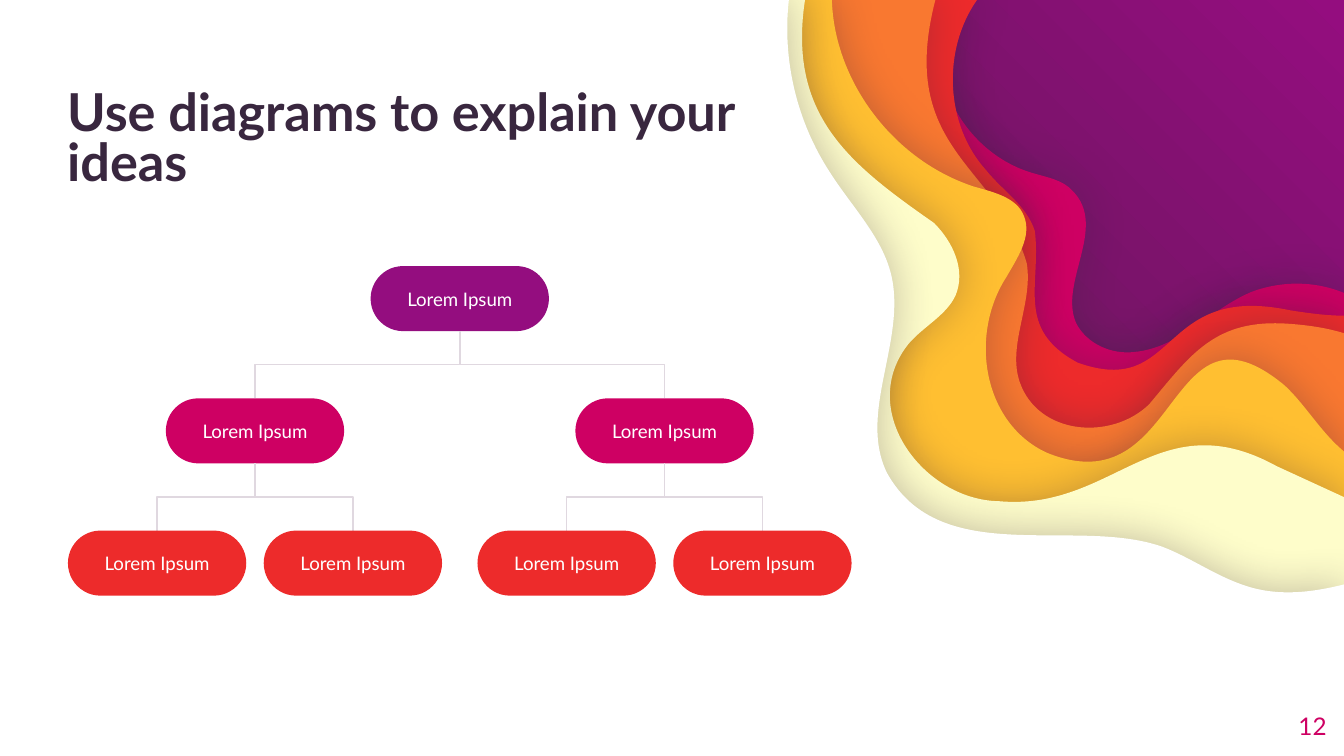
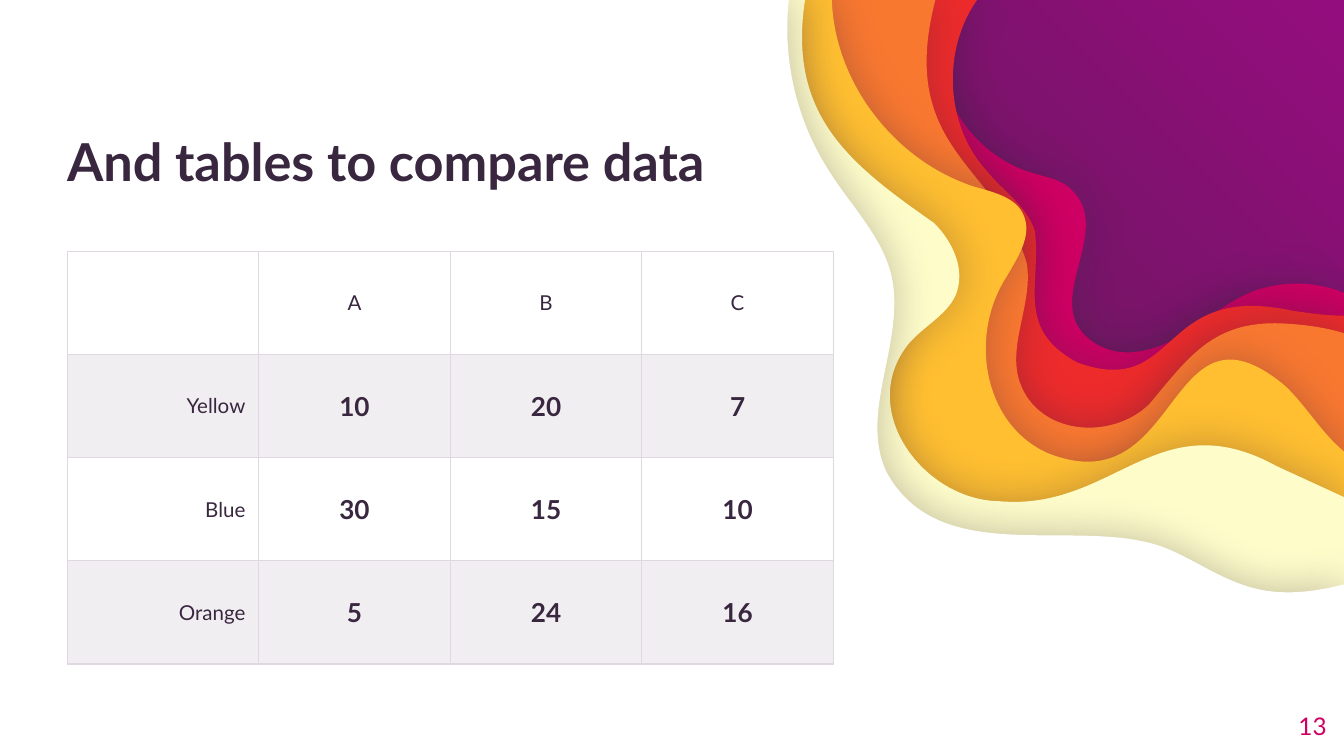
import copy

import lxml.etree
import pptx
import pptx.dml.color
import pptx.enum.dml
import pptx.enum.shapes
import pptx.enum.text
import pptx.oxml.ns
import pptx.util

Cm = pptx.util.Cm
Pt = pptx.util.Pt
qn = pptx.oxml.ns.qn
Align = pptx.enum.text.PP_ALIGN
Anchor = pptx.enum.text.MSO_ANCHOR

FONT = "Lato"
INK, WHITE = "39273F", "FFFFFF"
PURPLE, DEEP_PURPLE = "940D7F", "5E1B53"
PINK, RED = "CE0063", "ED2B2B"
RULE, BAND = "E0D8E0", "F1EEF1"

SLIDE_WIDTH, SLIDE_HEIGHT = 25.4, 14.29
MARGIN = 1.27
BOX_INSET = 0.25

# Waves use thousandths of the slide width: colour, points of the inner curve
# (a start, then two handles and an end per curve), height where the wave
# meets the right edge, and the handles that lead back to the start.
WAVE_GRID = 1000
WAVE_BOTTOM = 563
WAVES = [
    (PINK,
     [(932, 217), (902, 229), (878, 259), (844, 262),
      (827, 264), (809, 256), (801, 241), (787, 211), (825, 169), (798, 142),
      (791, 134), (779, 132), (769, 129), (716, 114), (684, 52), (704, 0)],
     218, [(978, 209), (954, 209)]),
    (RED,
     [(960, 231), (861, 210), (878, 297), (802, 270),
      (755, 245), (775, 212), (770, 172), (764, 153), (746, 142), (734, 127),
      (703, 93), (701, 37), (727, 0)],
     235, [(987, 235), (973, 233)]),
    ("F97830",
     [(959, 241), (904, 237), (886, 264), (855, 301),
      (827, 328), (773, 324), (759, 285), (749, 257), (769, 226), (764, 196),
      (743, 123), (667, 112), (696, 0)],
     248, [(987, 244), (973, 242)]),
    ("FFBF31",
     [(956, 287), (867, 213), (880, 378), (779, 337),
      (731, 315), (721, 249), (749, 206), (757, 192), (768, 176), (762, 161),
      (757, 147), (739, 143), (725, 139), (666, 120), (621, 62), (619, 0)],
     336, [(983, 322), (972, 302)]),
    ("FEFDCA",
     [(950, 347), (861, 298), (829, 381), (743, 373),
      (687, 372), (637, 305), (676, 256), (687, 243), (704, 235), (711, 220),
      (719, 201), (709, 180), (695, 166), (632, 122), (586, 86), (599, 0)],
     370, []),
    (WHITE,
     [(927, 436), (905, 429), (886, 415), (865, 407),
      (800, 384), (700, 424), (660, 352), (638, 307), (675, 253), (663, 204),
      (656, 176), (634, 154), (618, 129), (593, 91), (582, 45), (587, 0)],
     435, [(976, 441), (951, 444)]),
]

NODE_WIDTH, NODE_HEIGHT = 3.37, 1.23
ROOT_CENTRE, TREE_TOP, LEVEL_PITCH = 8.69, 5.03, 2.5
LEVEL_COLOURS = [PURPLE, PINK, RED]
BRANCH_REACH = [3.87, 1.85]

TABLE_TOP, COLUMN_WIDTH, ROW_HEIGHT = 4.75, 3.62, 1.95
TABLE_ROWS = [
    ["", "A", "B", "C"],
    ["Yellow", "10", "20", "7"],
    ["Blue", "30", "15", "10"],
    ["Orange", "5", "24", "16"],
]


def colour(value):
    return pptx.dml.color.RGBColor.from_string(value)


def add_element(parent, tag, **attributes):
    return lxml.etree.SubElement(parent, qn(tag), attributes)


def paint(shape, value):
    """Give a shape a flat fill without outline or inherited shadow."""
    shape.fill.solid()
    shape.fill.fore_color.rgb = colour(value)
    shape.line.fill.background()
    shape.shadow.inherit = False


def set_frame(frame, anchor, inset):
    frame.word_wrap = True
    frame.vertical_anchor = anchor
    frame.margin_left = frame.margin_right = Cm(inset)
    frame.margin_top = frame.margin_bottom = Cm(inset)


def write(frame, text, size, value, align=Align.LEFT, bold=False):
    para = frame.paragraphs[0]
    para.alignment = align
    span = para.add_run()
    span.text = text
    span.font.name = FONT
    span.font.size = Pt(size)
    span.font.bold = bold
    span.font.color.rgb = colour(value)
    return para


def set_background(page):
    """Purple gradient that spreads in circles from the top right corner."""
    fill = page.background.fill
    fill.gradient()
    for stop, position, value in zip(fill.gradient_stops, (0, 0.5), (PURPLE, DEEP_PURPLE)):
        stop.position = position
        stop.color.rgb = colour(value)
    gradient = page.element.xpath(".//p:bgPr/a:gradFill")[0]
    stops = gradient.find(qn("a:gsLst"))
    last = copy.deepcopy(stops[-1])
    last.set("pos", "100000")
    stops.append(last)
    gradient.remove(gradient.find(qn("a:lin")))
    circle = add_element(gradient, "a:path", path="circle")
    add_element(circle, "a:fillToRect", l="100000", b="100000")


def merge_curves(outline, segments):
    """Turn each run of three line segments into one Bézier curve."""
    for first in range(0, len(segments), 3):
        curve = lxml.etree.Element(qn("a:cubicBezTo"))
        outline.replace(segments[first], curve)
        for segment in segments[first:first + 3]:
            curve.append(segment[0])
            if segment.getparent() is outline:
                outline.remove(segment)


def add_wave(page, value, inner, edge, handles):
    start, *curve = inner
    corners = [(0, 0), (0, WAVE_BOTTOM), (WAVE_GRID, WAVE_BOTTOM), (WAVE_GRID, edge)]
    closing = [*handles, start] if handles else []
    builder = page.shapes.build_freeform(*start, scale=Cm(SLIDE_WIDTH) / WAVE_GRID)
    builder.add_line_segments(curve + corners + closing, close=True)
    wave = builder.convert_to_shape()
    paint(wave, value)

    outline = wave.element.xpath(".//a:pathLst/a:path")[0]
    segments = outline.findall(qn("a:lnTo"))
    merge_curves(outline, segments[:len(curve)])
    merge_curves(outline, segments[len(curve) + len(corners):])

    effects = wave.element.spPr.find(qn("a:effectLst"))
    shadow = add_element(effects, "a:outerShdw", blurRad=str(Pt(22.5)),
                         dist=str(Pt(0.75)), dir="0", algn="bl", rotWithShape="0")
    tint = add_element(shadow, "a:srgbClr", val=INK)
    add_element(tint, "a:alpha", val="30000")


def add_text(page, left, top, width, height, anchor):
    box = page.shapes.add_textbox(Cm(left), Cm(top), Cm(width), Cm(height))
    set_frame(box.text_frame, anchor, 0)
    return box.text_frame


def add_page(deck, title, number):
    page = deck.slides.add_slide(deck.slide_layouts[6])
    set_background(page)
    for wave in WAVES:
        add_wave(page, *wave)
    heading = add_text(page, MARGIN, 1.65, 14.48, 1.98, Anchor.BOTTOM)
    write(heading, title, 28, INK, bold=True).line_spacing = 0.8
    footer = add_text(page, 23.55, 13.18, 1.52, 1.09, Anchor.MIDDLE)
    write(footer, str(number), 13, PINK, Align.RIGHT)
    return page


def add_node(page, centre, top, value):
    node = page.shapes.add_shape(
        pptx.enum.shapes.MSO_SHAPE.ROUNDED_RECTANGLE,
        Cm(centre - NODE_WIDTH / 2), Cm(top), Cm(NODE_WIDTH), Cm(NODE_HEIGHT))
    node.adjustments[0] = 0.5
    paint(node, value)
    set_frame(node.text_frame, Anchor.MIDDLE, BOX_INSET)
    write(node.text_frame, "Lorem Ipsum", 10, WHITE, Align.CENTER)


def add_branch(page, parent_x, parent_bottom, child_x, child_top):
    """Elbow that leaves the parent downwards, made by a quarter turn."""
    side = 1 if child_x > parent_x else -1
    middle_x, middle_y = (parent_x + child_x) / 2, (parent_bottom + child_top) / 2
    half_drop = side * (child_top - parent_bottom) / 2
    half_reach = abs(child_x - parent_x) / 2
    branch = page.shapes.add_connector(
        pptx.enum.shapes.MSO_CONNECTOR.ELBOW,
        Cm(middle_x + half_drop), Cm(middle_y - half_reach),
        Cm(middle_x - half_drop), Cm(middle_y + half_reach))
    branch.line.color.rgb = colour(RULE)
    branch.line.width = Pt(0.75)
    properties = branch.element.spPr
    properties.find(qn("a:xfrm")).set("rot", "16200000" if side > 0 else "5400000")
    add_element(properties, "a:effectLst")


def add_tree(page, centre=ROOT_CENTRE, level=0):
    top = TREE_TOP + level * LEVEL_PITCH
    add_node(page, centre, top, LEVEL_COLOURS[level])
    if level == len(BRANCH_REACH):
        return
    for side in (-1, 1):
        child = centre + side * BRANCH_REACH[level]
        add_branch(page, centre, top + NODE_HEIGHT, child, top + LEVEL_PITCH)
        add_tree(page, child, level + 1)


def set_borders(cell):
    properties = cell._tc.get_or_add_tcPr()
    for index, tag in enumerate(("a:lnL", "a:lnR", "a:lnT", "a:lnB")):
        border = lxml.etree.Element(qn(tag), w=str(Pt(0.75)))
        properties.insert(index, border)
        add_element(add_element(border, "a:solidFill"), "a:srgbClr", val=RULE)


def fill_cell(cell, text, row, column):
    cell.vertical_anchor = Anchor.MIDDLE
    cell.margin_left = cell.margin_right = Cm(BOX_INSET)
    cell.margin_top = cell.margin_bottom = Cm(0.18)
    if row % 2:
        cell.fill.solid()
        cell.fill.fore_color.rgb = colour(BAND)
    else:
        cell.fill.background()
    set_borders(cell)
    if text:
        is_value = row > 0 and column > 0
        write(cell.text_frame, text, 14 if is_value else 11, INK,
              Align.CENTER if column else Align.RIGHT, is_value)


def add_comparison_table(page):
    rows, columns = len(TABLE_ROWS), len(TABLE_ROWS[0])
    table = page.shapes.add_table(
        rows, columns, Cm(MARGIN), Cm(TABLE_TOP),
        Cm(columns * COLUMN_WIDTH), Cm(rows * ROW_HEIGHT)).table
    table.first_row = table.horz_banding = False
    for row, texts in enumerate(TABLE_ROWS):
        for column, text in enumerate(texts):
            fill_cell(table.cell(row, column), text, row, column)


def main():
    deck = pptx.Presentation()
    deck.slide_width, deck.slide_height = Cm(SLIDE_WIDTH), Cm(SLIDE_HEIGHT)
    add_tree(add_page(deck, "Use diagrams to explain your ideas", 12))
    add_comparison_table(add_page(deck, "And tables to compare data", 13))
    deck.save("out.pptx")


if __name__ == "__main__":
    main()
